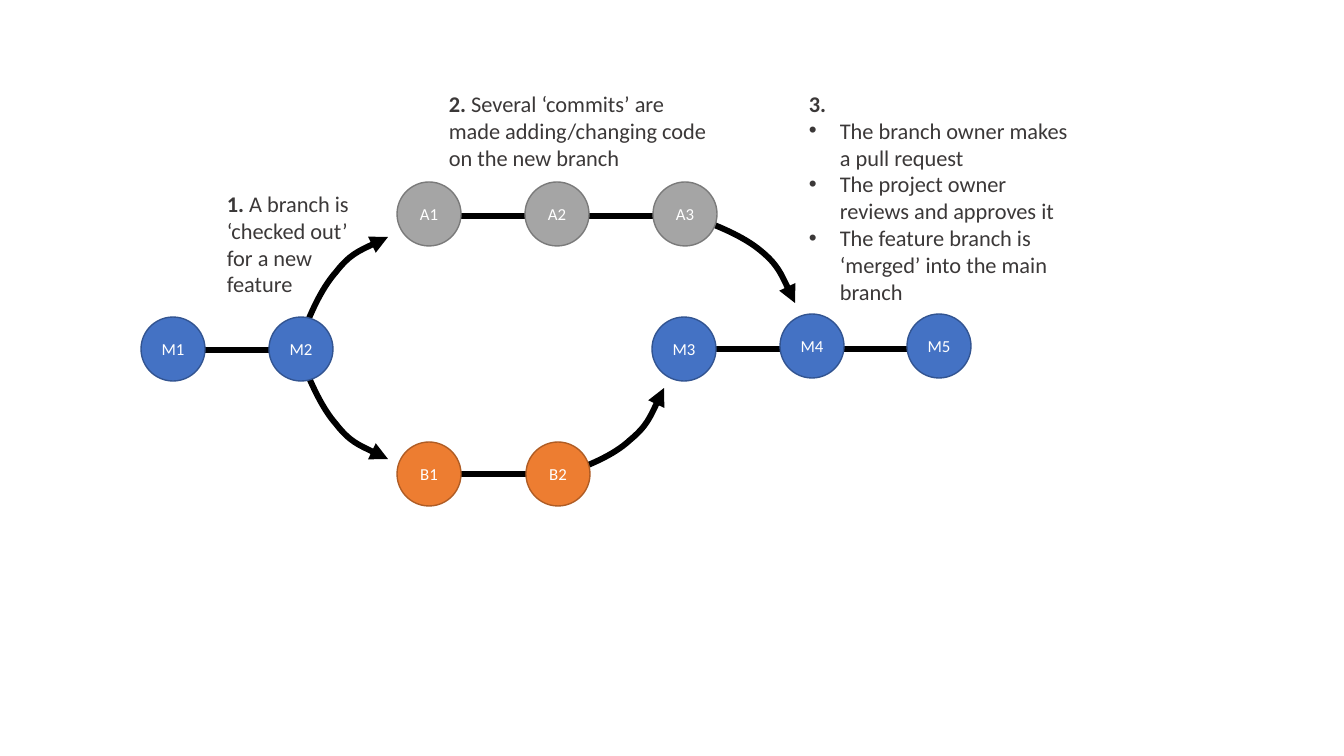
import dataclasses
import pptx
import pptx.util
import pptx.dml.color
import pptx.enum.shapes
import pptx.enum.text
import pptx.oxml
import pptx.oxml.ns
import pptx.oxml.xmlchemy


@dataclasses.dataclass(frozen=True)
class Theme:
    font: str = "Calibri"
    node_size: int = 12
    note_size: int = 16
    arrow_width: float = 4.25
    link_width: float = 4.5
    ink: str = "3B3838"
    line: str = "000000"
    node_text: str = "FFFFFF"
    main: tuple = ("4472C4", "325491")
    branch_a: tuple = ("A5A5A5", "7A7A7A")
    branch_b: tuple = ("ED7D31", "AF5C24")


THEME = Theme()
SCALE = 914400 / 100.8
rgb = pptx.dml.color.RGBColor.from_string
sub = pptx.oxml.xmlchemy.OxmlElement
qn = pptx.oxml.ns.qn


def px(value):
    return pptx.util.Emu(round(value * SCALE))


def add_run(p, text, size, color, bold=False):
    r = p.add_run()
    r.text = text
    r.font.name = THEME.font
    r.font.size = pptx.util.Pt(size)
    r.font.bold = bold
    r.font.color.rgb = rgb(color)


prs = pptx.Presentation()
prs.slide_width, prs.slide_height = px(1344), px(756)
s = prs.slides.add_slide(prs.slide_layouts[6])

# Curved arrows: a start point, then two cubic segments of three points each
arrows = [
    [(691, 216), (718, 226), (743, 236), (761, 251), (778, 265), (786, 284), (795, 303)],
    [(560, 476), (587, 466), (613, 456), (630, 440), (647, 426), (655, 407), (664, 388)],
    [(300, 356), (310, 381), (321, 407), (336, 424), (350, 442), (369, 450), (388, 459)],
    [(300, 341), (310, 314), (321, 289), (336, 272), (350, 254), (369, 246), (388, 237)],
]
for points in arrows:
    start, *rest = [(px(x), px(y)) for x, y in points]
    builder = s.shapes.build_freeform(*start)
    builder.add_line_segments(rest, close=False)
    sp = builder.convert_to_shape()
    sp.shadow.inherit = False
    sp.fill.background()
    sp.line.color.rgb = rgb(THEME.line)
    sp.line.width = pptx.util.Pt(THEME.arrow_width)
    tail = sub("a:tailEnd")
    tail.set("type", "triangle")
    sp.line._get_or_add_ln().append(tail)
    # Turn each three straight segments into one cubic curve
    path = sp._element.find(".//" + qn("a:path"))
    steps = path.findall(qn("a:lnTo"))
    for i in range(0, len(steps), 3):
        curve = sub("a:cubicBezTo")
        path.append(curve)
        for step in steps[i:i + 3]:
            curve.append(step[0])
            path.remove(step)

# Straight links behind the commits: left, right, y
for left, right, y in [(428, 684, 216), (683, 938, 349), (430, 558, 474), (173, 300, 350)]:
    link = s.shapes.add_connector(
        pptx.enum.shapes.MSO_CONNECTOR.STRAIGHT, px(left), px(y), px(right), px(y))
    link.line.color.rgb = rgb(THEME.line)
    link.line.width = pptx.util.Pt(THEME.link_width)
    link._element.spPr.append(sub("a:effectLst"))

# Commits: prefix, colours, centres
DIAMETER = 64
branches = [
    ("M", THEME.main, [(173, 349), (301, 349), (684, 349), (812, 346), (939, 346)]),
    ("A", THEME.branch_a, [(429, 214), (557, 214), (685, 214)]),
    ("B", THEME.branch_b, [(429, 474), (558, 474)]),
]
for prefix, (fill, outline), centres in branches:
    for number, (x, y) in enumerate(centres, 1):
        sp = s.shapes.add_shape(
            pptx.enum.shapes.MSO_SHAPE.OVAL, px(x - DIAMETER / 2), px(y - DIAMETER / 2),
            px(DIAMETER), px(DIAMETER))
        sp.shadow.inherit = False
        sp.fill.solid()
        sp.fill.fore_color.rgb = rgb(fill)
        sp.line.color.rgb = rgb(outline)
        sp.line.width = pptx.util.Pt(1)
        tf = sp.text_frame
        tf.margin_left = tf.margin_right = 0
        tf.vertical_anchor = pptx.enum.text.MSO_ANCHOR.MIDDLE
        p = tf.paragraphs[0]
        p.alignment = pptx.enum.text.PP_ALIGN.CENTER
        add_run(p, f"{prefix}{number}", THEME.node_size, THEME.node_text)

# Numbered notes: box, number, sentence, bullets
notes = [
    ((217, 185, 167, 119), "1. ", "A branch is ‘checked out’ for a new feature", []),
    ((439, 85, 279, 92), "2. ",
     "Several ‘commits’ are made adding/changing code on the new branch", []),
    ((799, 85, 279, 228), "3.", "", [
        "The branch owner makes a pull request",
        "The project owner reviews and approves it",
        "The feature branch is ‘merged’ into the main branch"]),
]
for box, number, sentence, bullets in notes:
    tf = s.shapes.add_textbox(*map(px, box)).text_frame
    tf.word_wrap = True
    p = tf.paragraphs[0]
    add_run(p, number, THEME.note_size, THEME.ink, bold=True)
    if sentence:
        add_run(p, sentence, THEME.note_size, THEME.ink)
    for bullet in bullets:
        p = tf.add_paragraph()
        pPr = p._p.get_or_add_pPr()
        pPr.set("marL", str(px(31)))
        pPr.set("indent", str(-px(31)))
        font, mark = sub("a:buFont"), sub("a:buChar")
        font.set("typeface", "Arial")
        mark.set("char", "•")
        pPr.extend([font, mark])
        add_run(p, bullet, THEME.note_size, THEME.ink)

prs.save("out.pptx")
